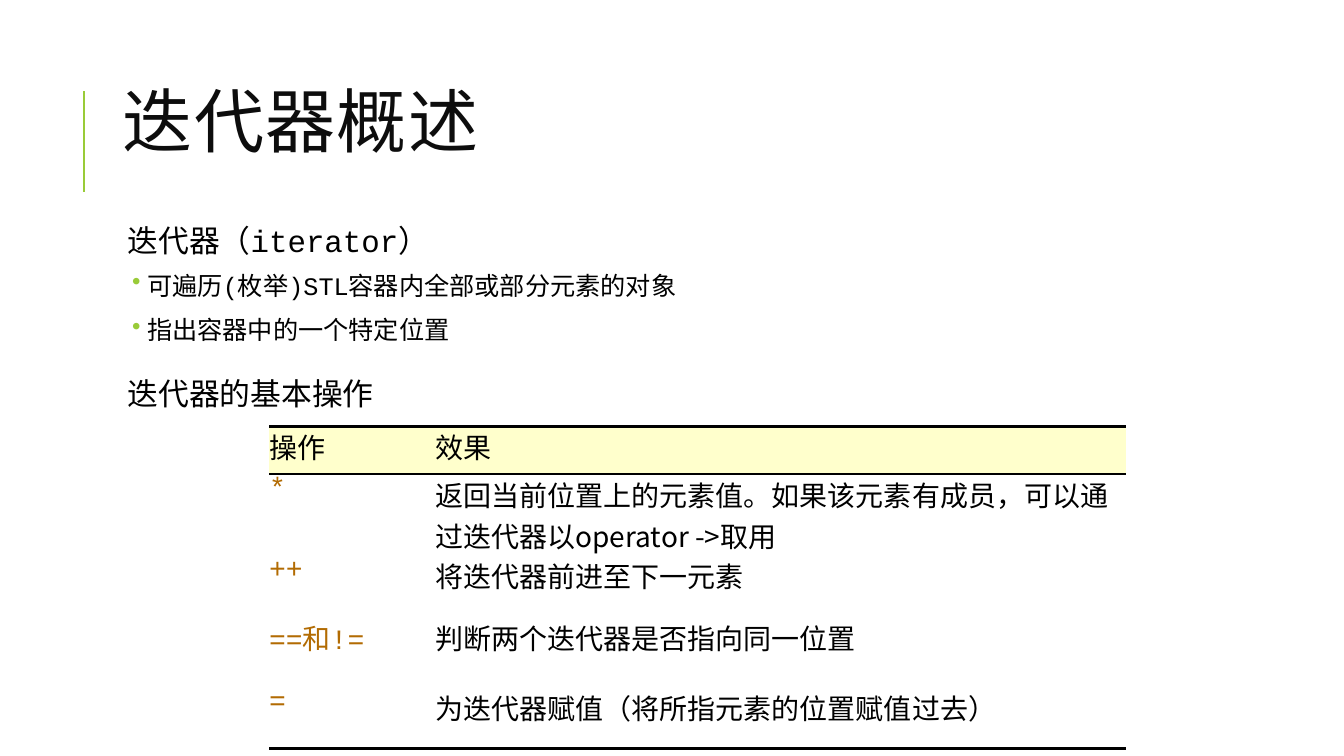
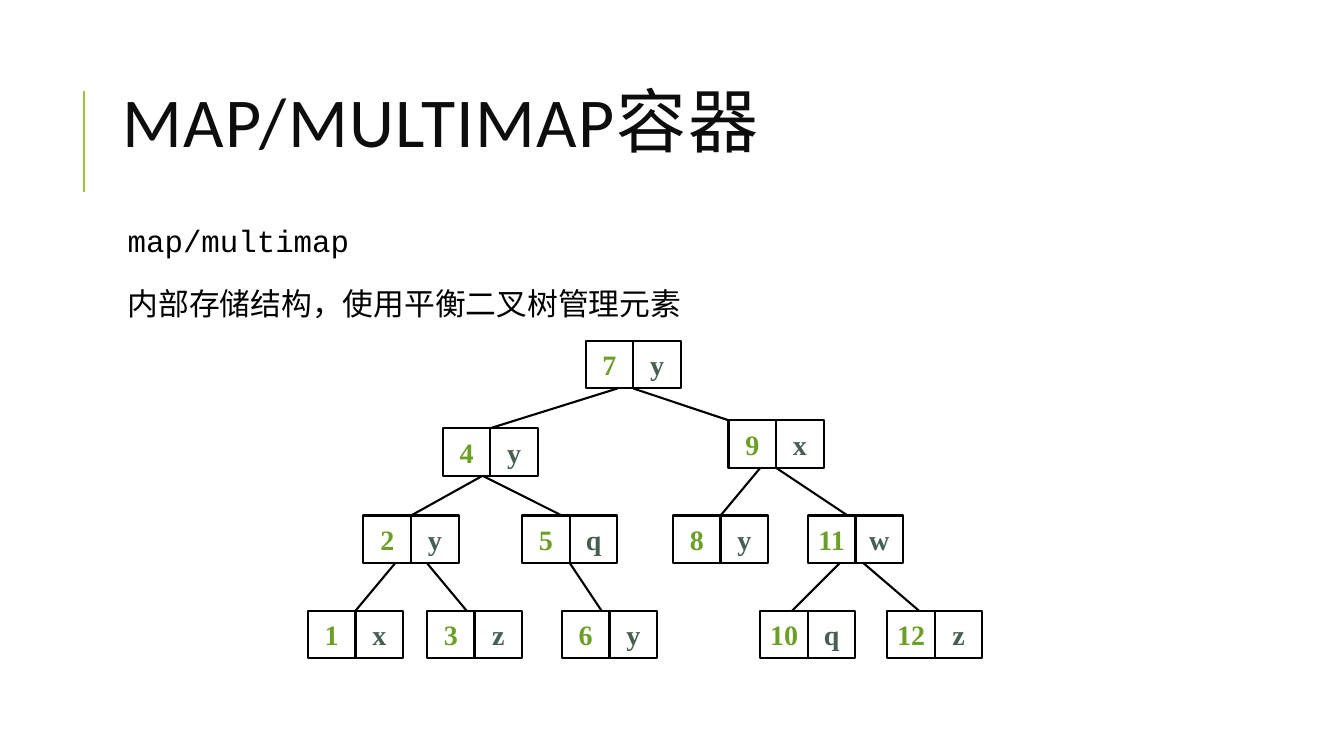
from dataclasses import dataclass
from typing import Optional

from pptx import Presentation
from pptx.dml.color import RGBColor
from pptx.enum.shapes import MSO_CONNECTOR as Connector, MSO_SHAPE as Preset
from pptx.enum.text import MSO_ANCHOR as Anchor, MSO_AUTO_SIZE as AutoSize, PP_ALIGN as Align
from pptx.oxml.ns import qn
from pptx.oxml.xmlchemy import OxmlElement
from pptx.util import Cm, Pt

BLACK, WHITE, INK = "000000", "FFFFFF", "0D0D0D"
ACCENT, KEY, VALUE = "99CB38", "6B9F25", "455F51"
HEADER, OPERATOR = "FFFFCC", "B26B02"
SANS, CODE, CHINESE, SERIF = "Calibri", "Courier New", "Noto Sans CJK SC", "Times New Roman"
PLAIN_TABLE = "{2D5ABB26-0587-4C30-8999-92F81FD0307C}"
CELL = 1.2


@dataclass(frozen=True)
class Line:
    text: str
    bulleted: bool = False


@dataclass(frozen=True)
class Node:
    key: str
    value: str
    left: float
    top: float
    parent: Optional[str] = None
    start: float = 0
    end: float = 0


ITERATOR_LINES = [
    Line("迭代器（iterator）"),
    Line("可遍历(枚举)STL容器内全部或部分元素的对象", True),
    Line("指出容器中的一个特定位置", True),
    Line("迭代器的基本操作"),
]
OPERATIONS = [
    ("操作", "效果"),
    ("*", "返回当前位置上的元素值。如果该元素有成员，可以通过迭代器以operator ->取用"),
    ("++", "将迭代器前进至下一元素"),
    ("==和!=", "判断两个迭代器是否指向同一位置"),
    ("=", "为迭代器赋值（将所指元素的位置赋值过去）"),
]
COLUMN_WIDTHS = [4.19, 17.4]
ROW_HEIGHTS = [1.2, 2.05, 1.55, 1.78, 1.55]

MAP_LINES = [Line("map/multimap"), Line("内部存储结构，使用平衡二叉树管理元素")]
NODES = [
    Node("7", "y", 14.76, 8.59),
    Node("4", "y", 11.16, 10.79, "7", 0.8, 1.2),
    Node("9", "x", 18.36, 10.59, "7", 1.2, 0),
    Node("2", "y", 9.16, 12.99, "4", 1, 1.2),
    Node("5", "q", 13.16, 12.99, "4", 1, 1),
    Node("8", "y", 16.96, 12.99, "9", 0.8, 1.2),
    Node("11", "w", 20.36, 12.99, "9", 1.2, 1),
    Node("1", "x", 7.76, 15.39, "2", 0.8, 1.2),
    Node("3", "z", 10.76, 15.39, "2", 1.6, 1),
    Node("6", "y", 14.16, 15.39, "5", 1.2, 1),
    Node("10", "q", 19.16, 15.39, "11", 0.8, 0.8),
    Node("12", "z", 22.36, 15.39, "11", 1.4, 0.8),
]


def color(value: str) -> RGBColor:
    return RGBColor.from_string(value)


def add_element(parent, tag: str, **attributes: str):
    element = OxmlElement(tag)
    for name, value in attributes.items():
        element.set(name, value)
    parent.append(element)
    return element


def style(paragraph, size: float, font_name: str, font_color: str, bold: bool = False) -> None:
    font = paragraph.font
    font.size, font.name, font.bold = Pt(size), font_name, bold
    font.color.rgb = color(font_color)
    defaults = paragraph._p.get_or_add_pPr().find(qn("a:defRPr"))
    add_element(defaults, "a:ea", typeface=CHINESE)


def add_line(slide, x1: float, y1: float, x2: float, y2: float, line_color: str) -> None:
    connector = slide.shapes.add_connector(
        Connector.STRAIGHT, Cm(x1), Cm(y1), Cm(x2), Cm(y2))
    connector.line.color.rgb = color(line_color)
    connector.line.width = Pt(1.5)
    add_element(connector._element.spPr, "a:effectLst")


def add_titled_slide(presentation, title: str):
    slide = presentation.slides.add_slide(presentation.slide_layouts[5])
    add_line(slide, 2.11, 4.83, 2.11, 2.29, ACCENT)
    shape = slide.shapes.title
    shape.left, shape.top, shape.width, shape.height = Cm(2.84), Cm(1.63), Cm(27), Cm(3.18)
    frame = shape.text_frame
    frame.text = title
    frame.auto_size = AutoSize.NONE
    frame.vertical_anchor = Anchor.MIDDLE
    paragraph = frame.paragraphs[0]
    paragraph.alignment = Align.LEFT
    paragraph.line_spacing = 0.8
    style(paragraph, 50, SANS, INK)
    paragraph._p.pPr.find(qn("a:defRPr")).set("spc", "100")
    return slide


def set_indent(paragraph, bulleted: bool) -> None:
    properties = paragraph._p.get_or_add_pPr()
    margin, indent = (0.74, -0.38) if bulleted else (0.25, 0)
    properties.set("marL", str(Cm(margin)))
    properties.set("indent", str(Cm(indent)))
    if bulleted:
        paragraph.level = 1
        add_element(add_element(properties, "a:buClr"), "a:srgbClr", val=ACCENT)
        add_element(properties, "a:buChar", char="•")
    else:
        add_element(properties, "a:buNone")


def add_body(slide, lines: list[Line]) -> None:
    box = slide.shapes.add_textbox(Cm(2.84), Cm(5.26), Cm(28.91), Cm(12.27))
    frame = box.text_frame
    frame.word_wrap = True
    frame.margin_left = frame.margin_top = frame.margin_right = frame.margin_bottom = Cm(0.13)
    for index, line in enumerate(lines):
        paragraph = frame.add_paragraph() if index else frame.paragraphs[0]
        paragraph.text = line.text
        set_indent(paragraph, line.bulleted)
        paragraph.line_spacing = 1.2
        if index:
            paragraph.space_before = Pt(2 if line.bulleted else 12)
        paragraph.space_after = Pt(4 if line.bulleted else 2)
        style(paragraph, 18 if line.bulleted else 22, CODE, BLACK)


def add_border(cell, side: str, width: float) -> None:
    border = add_element(cell._tc.get_or_add_tcPr(), f"a:{side}", w=str(Pt(width)))
    add_element(add_element(border, "a:solidFill"), "a:srgbClr", val=BLACK)


def add_operations(slide) -> None:
    table = slide.shapes.add_table(
        len(OPERATIONS), len(COLUMN_WIDTHS), Cm(6.78), Cm(10.74),
        Cm(sum(COLUMN_WIDTHS)), Cm(sum(ROW_HEIGHTS))).table
    table.first_row = table.horz_banding = False
    table._tbl.tblPr.find(qn("a:tableStyleId")).text = PLAIN_TABLE
    for column, width in zip(table.columns, COLUMN_WIDTHS):
        column.width = Cm(width)
    for row, height in zip(table.rows, ROW_HEIGHTS):
        row.height = Cm(height)
    for row_index, texts in enumerate(OPERATIONS):
        for column_index, text in enumerate(texts):
            cell = table.cell(row_index, column_index)
            cell.text = text
            cell.margin_left = cell.margin_top = cell.margin_right = cell.margin_bottom = 0
            is_operator = row_index > 0 and column_index == 0
            style(cell.text_frame.paragraphs[0], 20,
                  CODE if is_operator else CHINESE, OPERATOR if is_operator else BLACK)
            if row_index == 0:
                add_border(cell, "lnT", 2.25)
                add_border(cell, "lnB", 1.5)
                cell.fill.solid()
                cell.fill.fore_color.rgb = color(HEADER)
            else:
                if row_index == len(OPERATIONS) - 1:
                    add_border(cell, "lnB", 2.25)
                cell.fill.background()


def add_node_cell(slide, left: float, top: float, text: str, text_color: str) -> None:
    shape = slide.shapes.add_shape(Preset.RECTANGLE, Cm(left), Cm(top), Cm(CELL), Cm(CELL))
    shape.shadow.inherit = False
    shape.fill.solid()
    shape.fill.fore_color.rgb = color(WHITE)
    shape.line.color.rgb = color(BLACK)
    shape.line.width = Pt(1.5)
    frame = shape.text_frame
    frame.text = text
    frame.word_wrap = False
    frame.vertical_anchor = Anchor.MIDDLE
    frame.margin_left = frame.margin_top = frame.margin_right = frame.margin_bottom = 0
    paragraph = frame.paragraphs[0]
    paragraph.alignment = Align.CENTER
    style(paragraph, 20, SERIF, text_color, bold=True)


def add_tree(slide, nodes: list[Node]) -> None:
    by_key = {node.key: node for node in nodes}
    for node in nodes:
        add_node_cell(slide, node.left, node.top, node.key, KEY)
        add_node_cell(slide, node.left + CELL, node.top, node.value, VALUE)
        if node.parent:
            parent = by_key[node.parent]
            add_line(slide, parent.left + node.start, parent.top + CELL,
                     node.left + node.end, node.top, BLACK)


def main() -> None:
    presentation = Presentation()
    presentation.slide_width, presentation.slide_height = Cm(33.87), Cm(19.05)

    iterator_slide = add_titled_slide(presentation, "迭代器概述")
    add_body(iterator_slide, ITERATOR_LINES)
    add_operations(iterator_slide)

    map_slide = add_titled_slide(presentation, "MAP/MULTIMAP容器")
    add_body(map_slide, MAP_LINES)
    add_tree(map_slide, NODES)

    presentation.save("out.pptx")


if __name__ == "__main__":
    main()
